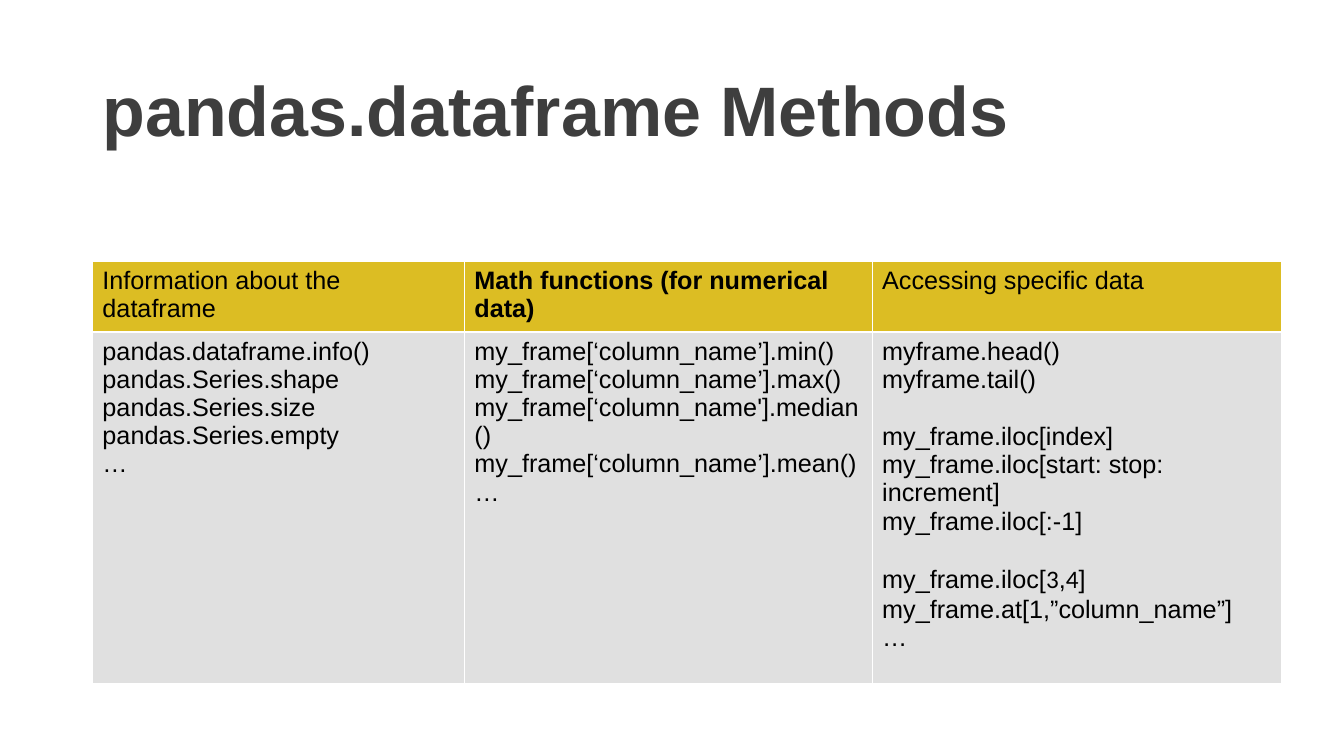
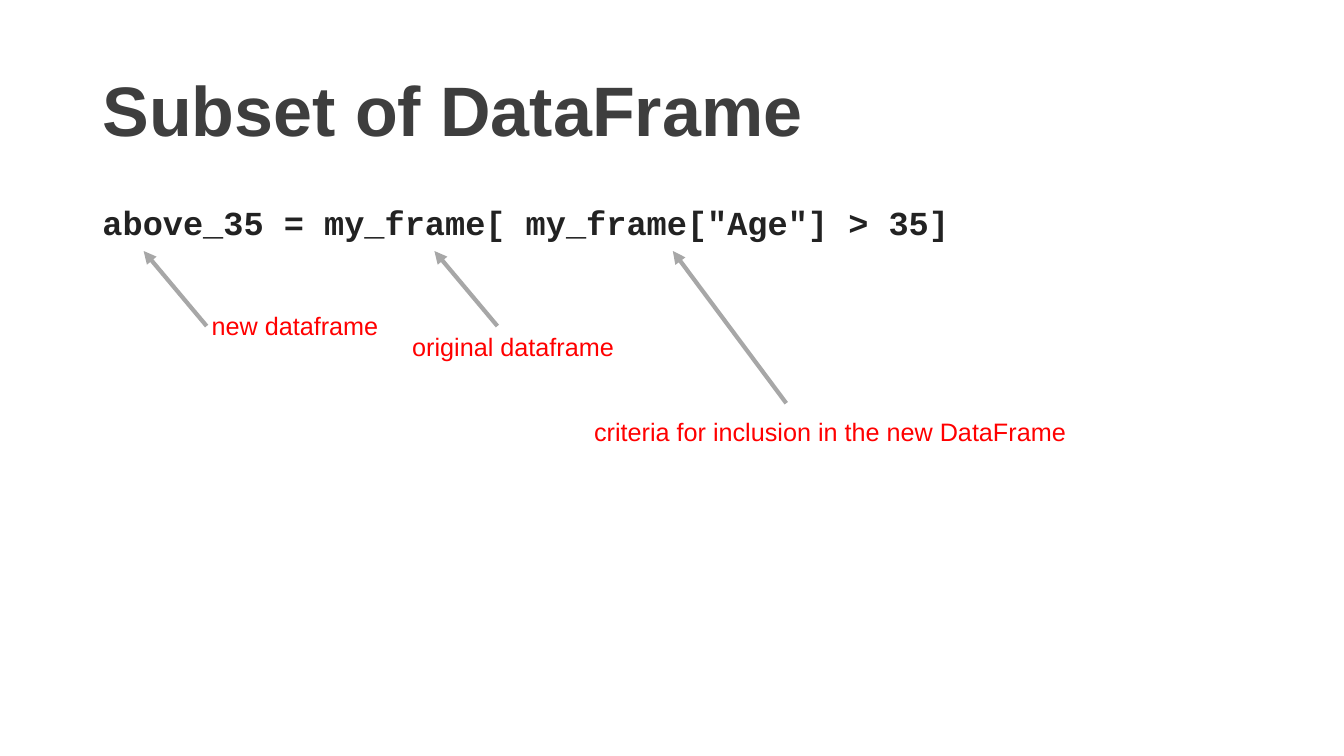
from lxml import etree
from pptx import Presentation
from pptx.dml.color import RGBColor
from pptx.enum.shapes import MSO_CONNECTOR
from pptx.enum.text import MSO_ANCHOR, MSO_AUTO_SIZE
from pptx.oxml.ns import qn
from pptx.util import Pt

STRAIGHT = MSO_CONNECTOR.STRAIGHT
MIDDLE = MSO_ANCHOR.MIDDLE
FIT_SHAPE = MSO_AUTO_SIZE.SHAPE_TO_FIT_TEXT

TITLE_GRAY = RGBColor(0x3E, 0x3E, 0x3E)
CODE_GRAY = RGBColor(0x22, 0x22, 0x22)
ARROW_GRAY = RGBColor(0xA7, 0xA7, 0xA7)
HEADER_GOLD = RGBColor(0xDC, 0xBD, 0x23)
BODY_GRAY = RGBColor(0xE0, 0xE0, 0xE0)
BLACK = RGBColor(0, 0, 0)
RED = RGBColor(0xFF, 0, 0)

LEFT, CONTENT_W = 132, 1656
INSET_X, INSET_Y = 14.4, 7.2
LINE = 41.4  # height of one line of 36 pt text


def style_run(r, size, color, bold=False, font="Arial"):
    r.font.name = font
    r.font.size = Pt(size)
    r.font.bold = bold
    r.font.color.rgb = color


def add_text(s, text, x, y, w, h, size, color, bold=False, font="Arial", inset_x=INSET_X):
    tf = s.shapes.add_textbox(Pt(x), Pt(y), Pt(w), Pt(h)).text_frame
    tf.word_wrap = True
    tf.margin_left = tf.margin_right = Pt(inset_x)
    tf.margin_top = tf.margin_bottom = Pt(INSET_Y)
    tf.text = text
    style_run(tf.paragraphs[0].runs[0], size, color, bold, font)
    return tf


prs = Presentation()
prs.slide_width, prs.slide_height = Pt(1920), Pt(1080)

# Both slides with their titles
slides = []
for title in ("pandas.dataframe Methods", "Subset of DataFrame"):
    s = prs.slides.add_slide(prs.slide_layouts[6])
    tf = add_text(s, title, LEFT, 57.6, CONTENT_W, 208.8, 100, TITLE_GRAY, True)
    tf.vertical_anchor = MIDDLE
    tf.paragraphs[0].line_spacing = 0.9
    slides.append(s)
methods, subset = slides

# Slide 1: table of methods; each column is width, header, header bold, groups of lines.
# Text between bars is set in Calibri.
columns = [
    (531.4, "Information about the dataframe", False, [
        ["pandas.dataframe.info()", "pandas.Series.shape", "pandas.Series.size",
         "pandas.Series.empty", "…"]]),
    (582.5, "Math functions (for numerical data)", True, [
        ["my_frame[‘column_name’].min()", "my_frame[‘column_name’].max()",
         "my_frame[‘column_name'].median()", "my_frame[‘column_name’].mean()", "…"]]),
    (583.9, "Accessing specific data", False, [
        ["myframe.head()", "myframe.tail()"],
        ["my_frame.iloc[index]", "my_frame.iloc[start: stop: increment]",
         "my_frame.iloc[:-1]"],
        ["my_frame.iloc[|3|,|4|]", "my_frame.at[1,”column_name”]", "…"]]),
]
row_heights = (93, 501)
table_w = sum(column[0] for column in columns)
table = methods.shapes.add_table(2, len(columns), Pt(LEFT), Pt(373.7),
                                 Pt(table_w), Pt(sum(row_heights))).table
for row, height in zip(table.rows, row_heights):
    row.height = Pt(height)

for col, (width, header, header_bold, groups) in enumerate(columns):
    table.columns[col].width = Pt(width)
    rows = (([[header]], header_bold, HEADER_GOLD), (groups, False, BODY_GRAY))
    for row, (cell_groups, bold, fill) in enumerate(rows):
        cell = table.cell(row, col)
        cell.margin_left = cell.margin_right = Pt(INSET_X)
        cell.margin_top = cell.margin_bottom = Pt(INSET_Y)

        # White borders, thicker between header and body
        tcPr = cell._tc.get_or_add_tcPr()
        for side in "LRTB":
            thick = (row, side) in ((0, "B"), (1, "T"))
            ln = etree.SubElement(tcPr, qn(f"a:ln{side}"), w=str(Pt(3 if thick else 1)))
            solid = etree.SubElement(ln, qn("a:solidFill"))
            etree.SubElement(solid, qn("a:srgbClr"), val="FFFFFF")
        cell.fill.solid()
        cell.fill.fore_color.rgb = fill

        # One paragraph a line, one line of space between groups
        tf = cell.text_frame
        p = tf.paragraphs[0]
        for g, group in enumerate(cell_groups):
            for i, line in enumerate(group):
                if g or i:
                    p = tf.add_paragraph()
                if g and i == 0:
                    p.space_before = Pt(LINE)
                for n, piece in enumerate(line.split("|")):
                    r = p.add_run()
                    r.text = piece
                    style_run(r, 36, BLACK, bold, "Calibri" if n % 2 else "Arial")

# Slide 2: line of code
tf = add_text(subset, 'above_35 = my_frame[ my_frame["Age"] > 35]', LEFT, 287.3,
              CONTENT_W, 685.4, 48, CODE_GRAY, True, "Courier New")
tf.paragraphs[0].line_spacing = 0.9
tf.paragraphs[0].space_before = Pt(20)

# Slide 2: red labels, each with an arrow up to the code
ARROW_TOP = 358.6
notes = [
    ("new dataframe", 295.2, 436.3, (295.2, 465.8), 205.2),
    ("original dataframe", 581.8, 465.8, (710.6, 465.8), 620.6),
    ("criteria for inclusion in the new DataFrame", 841.7, 588.2, (1123.2, 576), 961.2),
]
for text, x, y, start, tip_x in notes:
    tf = add_text(subset, text, x, y, 1180, 58.3, 36, RED, inset_x=7.2)
    tf.auto_size = FIT_SHAPE
    arrow = subset.shapes.add_connector(STRAIGHT, Pt(start[0]), Pt(start[1]),
                                        Pt(tip_x), Pt(ARROW_TOP))
    arrow.line.color.rgb = ARROW_GRAY
    arrow.line.width = Pt(6)
    etree.SubElement(arrow.line._get_or_add_ln(), qn("a:tailEnd"), type="triangle")
    etree.SubElement(arrow._element.spPr, qn("a:effectLst"))

prs.save("out.pptx")
